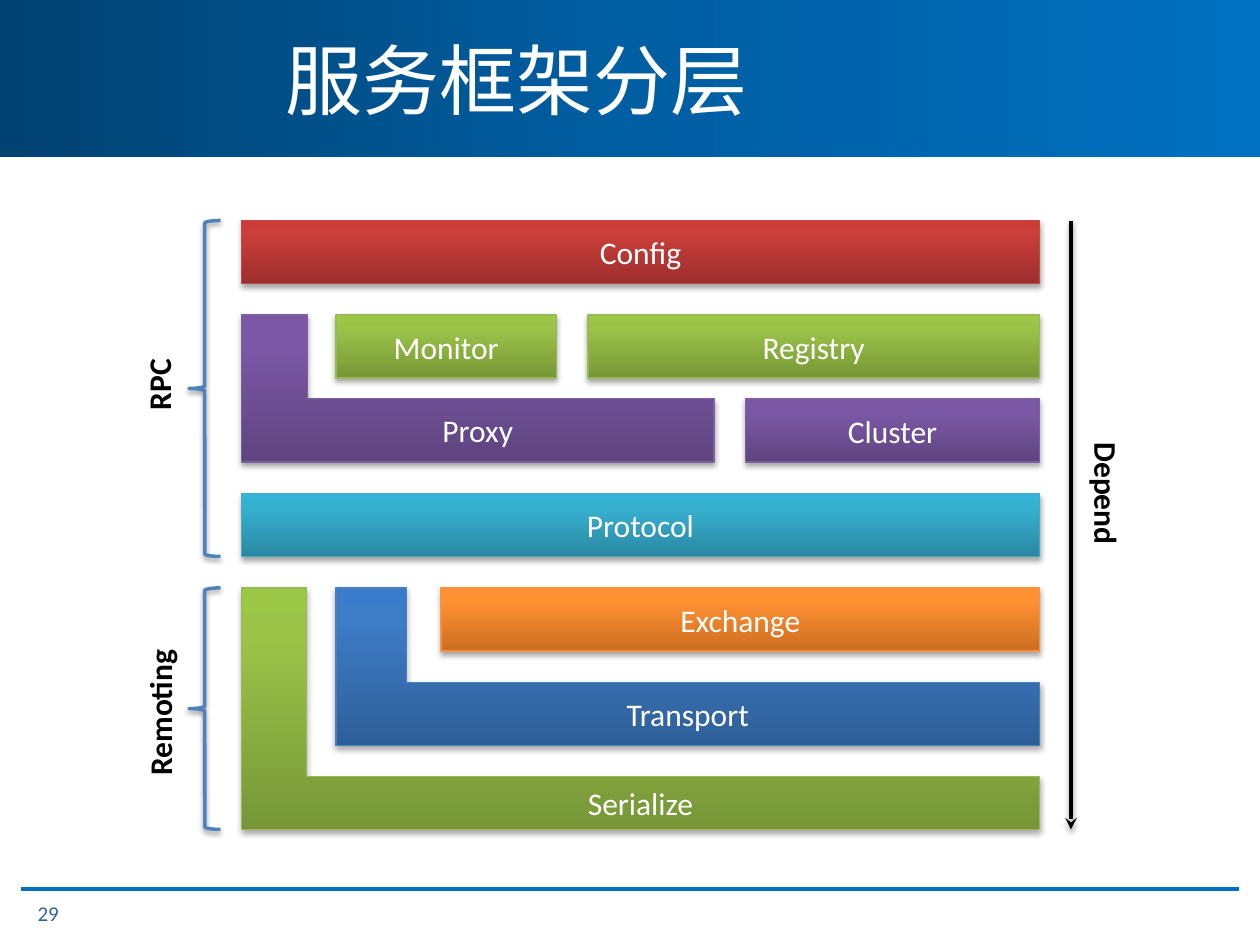
from copy import deepcopy

from lxml import etree
from pptx import Presentation
from pptx.dml.color import RGBColor
from pptx.enum.shapes import MSO_CONNECTOR, MSO_SHAPE
from pptx.enum.text import MSO_ANCHOR, MSO_AUTO_SIZE, PP_ALIGN
from pptx.oxml.ns import qn
from pptx.util import Emu, Inches, Pt

RECTANGLE = MSO_SHAPE.RECTANGLE
CORNER = MSO_SHAPE.from_xml("corner")
BRACE = MSO_SHAPE.LEFT_BRACE
STRAIGHT = MSO_CONNECTOR.STRAIGHT
MIDDLE = MSO_ANCHOR.MIDDLE
TOP = MSO_ANCHOR.TOP
LEFT = PP_ALIGN.LEFT
CENTER = PP_ALIGN.CENTER
FIT_SHAPE = MSO_AUTO_SIZE.SHAPE_TO_FIT_TEXT

WHITE = RGBColor(0xFF, 0xFF, 0xFF)
BLACK = RGBColor(0x00, 0x00, 0x00)
RULE_BLUE = RGBColor(0x00, 0x70, 0xC0)
BRACE_BLUE = RGBColor(0x4F, 0x81, 0xBD)
NUMBER_BLUE = RGBColor(0x37, 0x60, 0x92)
HEADER = (RGBColor(0x00, 0x42, 0x72), RGBColor(0x00, 0x5E, 0xA2), RULE_BLUE)
RED = (RGBColor(0x9C, 0x2F, 0x2D), RGBColor(0xCB, 0x3E, 0x3A), RGBColor(0xCE, 0x3B, 0x37))
CYAN = (RGBColor(0x2A, 0x88, 0xA2), RGBColor(0x37, 0xB1, 0xD2), RGBColor(0x34, 0xB4, 0xD6))
GREEN = (RGBColor(0x77, 0x97, 0x37), RGBColor(0x9B, 0xC3, 0x48), RGBColor(0x9D, 0xC7, 0x46))
PURPLE = (RGBColor(0x5F, 0x44, 0x80), RGBColor(0x7B, 0x58, 0xA6), RGBColor(0x7C, 0x57, 0xA8))
ORANGE = (RGBColor(0xCC, 0x6E, 0x20), RGBColor(0xFF, 0x90, 0x34), RGBColor(0xFF, 0x91, 0x36))
BLUE = (RGBColor(0x2F, 0x5F, 0x99), RGBColor(0x3D, 0x7C, 0xC7), RGBColor(0x3A, 0x7C, 0xCB))
RED_EDGE = RGBColor(0xBF, 0x4C, 0x48)
CYAN_EDGE = RGBColor(0x46, 0xAA, 0xC5)
GREEN_EDGE = RGBColor(0x98, 0xB9, 0x55)
PURPLE_EDGE = RGBColor(0x7D, 0x60, 0xA0)
ORANGE_EDGE = RGBColor(0xF6, 0x92, 0x40)
BLUE_EDGE = RGBColor(0x4B, 0x7E, 0xBC)

FONT = "Calibri"
COLUMNS, ROWS = 120, 90
SLIDE_WIDTH, SLIDE_HEIGHT = Inches(10), Inches(7.5)

LAYERS = [
    ("Config", (23, 21, 76, 6), RED, RED_EDGE, None),
    ("Protocol", (23, 47, 76, 6), CYAN, CYAN_EDGE, None),
    ("Registry", (56, 30, 43, 6), GREEN, GREEN_EDGE, None),
    ("Cluster", (71, 38, 28, 6), PURPLE, PURPLE_EDGE, None),
    ("Monitor", (32, 30, 21, 6), GREEN, GREEN_EDGE, None),
    ("Exchange", (42, 56, 57, 6), ORANGE, ORANGE_EDGE, None),
    ("Proxy", (23, 30, 45, 14), PURPLE, PURPLE_EDGE, (0.43, 0.45)),
    ("Serialize", (23, 56, 76, 23), GREEN, GREEN_EDGE, (0.22, 0.27)),
    ("Transport", (32, 56, 67, 15), BLUE, BLUE_EDGE, (0.4, 0.45)),
]
BRACES = [(18, 21, 3, 32), (18, 56, 3, 23)]
SIDE_LABELS = [
    ("RPC", 15.1, 36.6, 7.3, 270),
    ("Remoting", 15.2, 67.8, 14.5, 270),
    ("Depend", 105.4, 47, 12.1, 90),
]


def grid(left, top, width, height):
    column, row = SLIDE_WIDTH / COLUMNS, SLIDE_HEIGHT / ROWS
    return [Emu(round(length)) for length in
            (left * column, top * row, width * column, height * row)]


def write_text(shape, text, size=18, color=WHITE, bold=False, align=LEFT,
               anchor=MIDDLE, wrap=True):
    frame = shape.text_frame
    frame.word_wrap = wrap
    frame.vertical_anchor = anchor
    paragraph = frame.paragraphs[0]
    paragraph.alignment = align
    run = paragraph.add_run()
    run.text = text
    run.font.name = FONT
    run.font.size = Pt(size)
    run.font.bold = bold
    run.font.color.rgb = color


def add_text(slide, text, area, **text_format):
    box = slide.shapes.add_textbox(*grid(*area))
    write_text(box, text, **text_format)
    return box


def set_gradient(shape, colors, middle, angle):
    shape.fill.gradient()
    shape.fill.gradient_angle = angle
    stops = shape._element.spPr.find(qn("a:gradFill")).find(qn("a:gsLst"))
    stops.append(deepcopy(stops[-1]))
    for stop, color, position in zip(shape.fill.gradient_stops, colors, (0, middle, 1)):
        stop.color.rgb = color
        stop.position = position


def add_shadow(effects, opacity):
    shadow = etree.SubElement(effects, qn("a:outerShdw"), blurRad="40000",
                              dist="23000", dir="5400000", rotWithShape="0")
    color = etree.SubElement(shadow, qn("a:srgbClr"), val=str(BLACK))
    etree.SubElement(color, qn("a:alpha"), val=str(opacity * 1000))


def set_line(shape, color, width):
    shape.line.color.rgb = color
    shape.line.width = Pt(width)


def add_shape(slide, kind, area):
    shape = slide.shapes.add_shape(kind, *grid(*area))
    shape.shadow.inherit = False
    return shape


def add_layer(slide, name, area, colors, edge, corner):
    layer = add_shape(slide, CORNER if corner else RECTANGLE, area)
    for index, share in enumerate(corner or ()):
        layer.adjustments[index] = share
    set_gradient(layer, colors, 0.8, 90)
    set_line(layer, edge, 0.75)
    add_shadow(layer._element.spPr.find(qn("a:effectLst")), 35)
    write_text(layer, name, align=CENTER)


def add_brace(slide, area):
    brace = add_shape(slide, BRACE, area)
    brace.fill.background()
    set_line(brace, BRACE_BLUE, 2)
    add_shadow(brace._element.spPr.find(qn("a:effectLst")), 38)


def add_line(slide, start, end, color, arrow=False):
    left, top, right, bottom = grid(*start, *end)
    line = slide.shapes.add_connector(STRAIGHT, left, top, right, bottom)
    set_line(line, color, 2.25)
    effects = etree.SubElement(line._element.spPr, qn("a:effectLst"))
    if arrow:
        outline = line._element.spPr.find(qn("a:ln"))
        etree.SubElement(outline, qn("a:tailEnd"), type="stealth")
        add_shadow(effects, 35)


def add_side_label(slide, text, center, middle, length, rotation):
    thickness = 4.8
    area = (center - length / 2, middle - thickness / 2, length, thickness)
    label = add_text(slide, text, area, color=BLACK, bold=True, anchor=TOP, wrap=False)
    label.text_frame.auto_size = FIT_SHAPE
    label.rotation = rotation


def add_frame(slide):
    header = add_shape(slide, RECTANGLE, (0, 0, COLUMNS, 15))
    set_gradient(header, HEADER, 0.5, 0)
    header.line.fill.background()
    add_line(slide, (2, 84.7), (118, 84.7), RULE_BLUE)
    add_text(slide, "服务框架分层", (26, 0, 94, 15), size=44)
    add_text(slide, "29", (2.4, 84.6, 13.2, 4.8), size=12, color=NUMBER_BLUE)


def main():
    presentation = Presentation()
    presentation.slide_width = SLIDE_WIDTH
    presentation.slide_height = SLIDE_HEIGHT
    slide = presentation.slides.add_slide(presentation.slide_layouts[6])
    add_frame(slide)
    for layer in LAYERS:
        add_layer(slide, *layer)
    for area in BRACES:
        add_brace(slide, area)
    add_line(slide, (102, 21), (102, 79), BLACK, arrow=True)
    for label in SIDE_LABELS:
        add_side_label(slide, *label)
    presentation.save("out.pptx")


if __name__ == "__main__":
    main()
